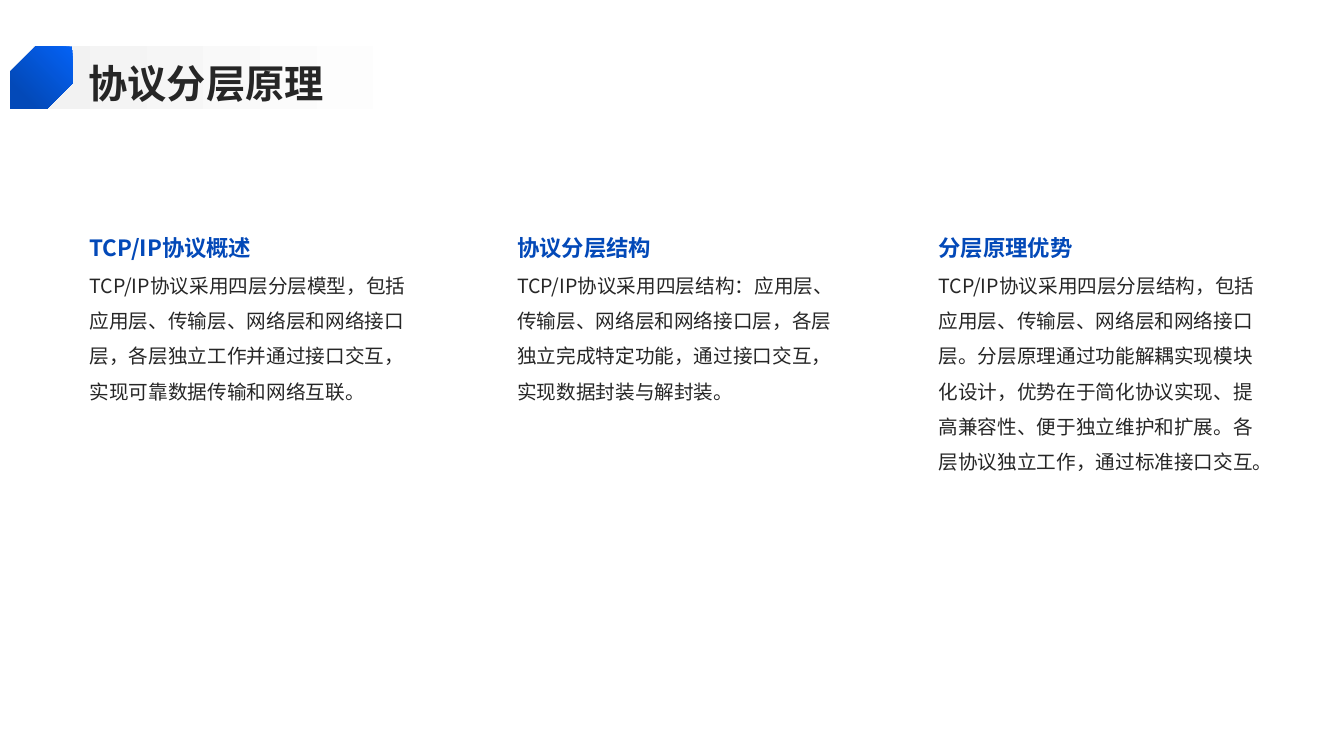
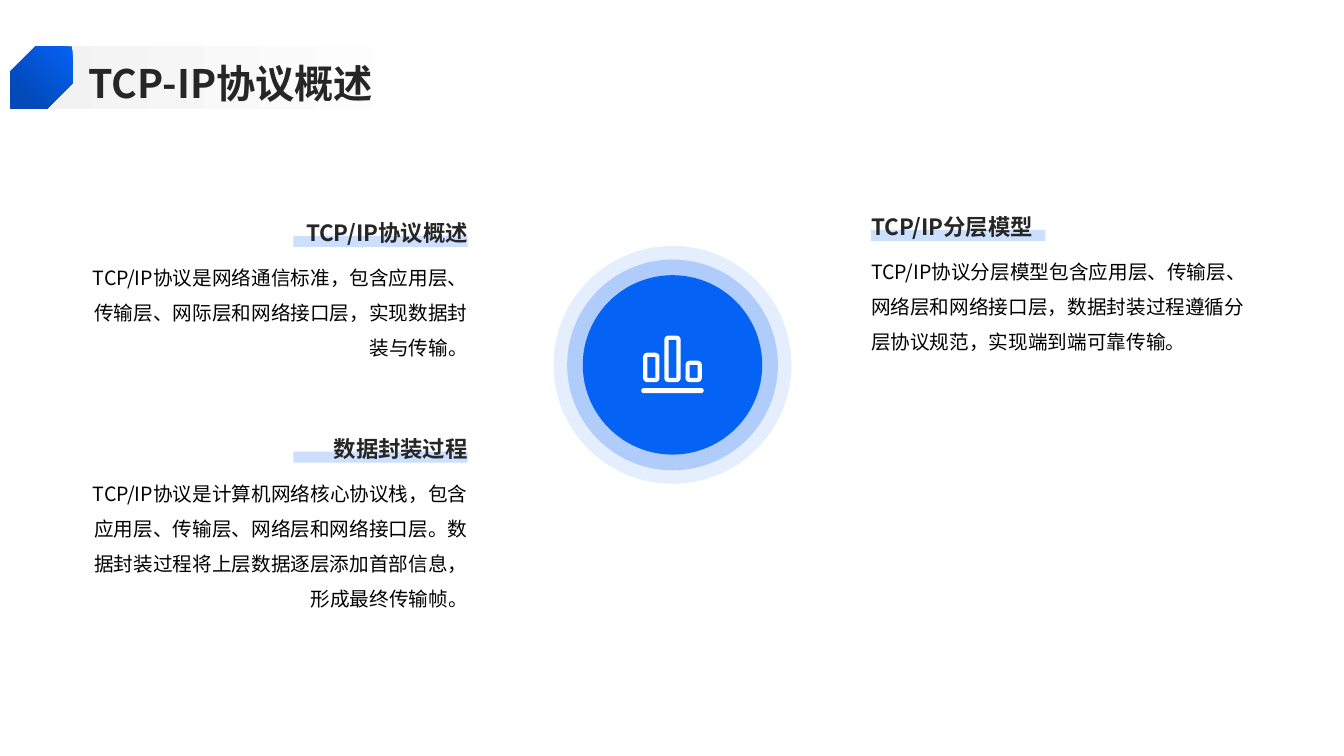
"""Builds two slides on the layers of the TCP/IP protocol."""
from lxml import etree
from pptx import Presentation
from pptx import util as u
from pptx.dml.color import RGBColor
from pptx.enum import shapes, text
from pptx.oxml.ns import qn

FONT = "Noto Sans CJK SC"
BLUE = RGBColor(0x04, 0x62, 0xF5)
DEEP_BLUE = RGBColor(0x03, 0x49, 0xB8)
PALE_BLUE = RGBColor(0xCC, 0xDF, 0xFE)
INK = RGBColor(0x26, 0x26, 0x26)
BLACK = RGBColor(0, 0, 0)
GREY = RGBColor(0xF2, 0xF2, 0xF2)
WHITE = RGBColor(0xFF, 0xFF, 0xFF)
LEFT, RIGHT = text.PP_ALIGN.LEFT, text.PP_ALIGN.RIGHT
TOP, MIDDLE, BOTTOM = text.MSO_ANCHOR.TOP, text.MSO_ANCHOR.MIDDLE, text.MSO_ANCHOR.BOTTOM
RECTANGLE = shapes.MSO_SHAPE.RECTANGLE
ROUNDED = shapes.MSO_SHAPE.ROUNDED_RECTANGLE


def write(box, words, size, color, bold=False, spacing=1.5, align=LEFT, anchor=TOP):
    frame = box.text_frame
    frame.word_wrap = True
    frame.auto_size = text.MSO_AUTO_SIZE.NONE
    frame.vertical_anchor = anchor
    frame.margin_left = frame.margin_right = frame.margin_top = frame.margin_bottom = 0
    para = frame.paragraphs[0]
    para.alignment = align
    para.line_spacing = spacing
    span = para.add_run()
    span.text = words
    span.font.name = FONT
    span.font.size = u.Pt(size)
    span.font.bold = bold
    span.font.color.rgb = color
    etree.SubElement(span.font._element, qn("a:ea")).set("typeface", FONT)


def draw(page, kind, place, *colors):
    shape = page.shapes.add_shape(kind, *map(u.Inches, place))
    shape.shadow.inherit = False
    shape.line.fill.background()
    if len(colors) == 2:
        shape.fill.gradient()
        for stop, color, position in zip(shape.fill.gradient_stops, colors, (0, 0.8)):
            stop.color.rgb = color
            stop.position = position
    else:
        shape.fill.solid()
        shape.fill.fore_color.rgb = colors[0]
    return shape


deck = Presentation()
deck.slide_width, deck.slide_height = u.Inches(13.33), u.Inches(7.5)
layout = deck.slide_layouts[5]
heading = layout.placeholders[0]
heading.left, heading.top, heading.width, heading.height = map(u.Inches, (0.88, 0.54, 11.88, 0.51))

pages = []
for title in ("协议分层原理", "TCP-IP协议概述"):
    page = deck.slides.add_slide(layout)
    write(page.shapes.title, title, 28, INK, True, 1.1, anchor=MIDDLE)
    band = draw(page, RECTANGLE, (0.33, 0.46, 4.92, 0.62), GREY, WHITE)
    band.fill.gradient_angle = 0
    badge = draw(page, shapes.MSO_SHAPE.SNIP_2_DIAG_RECTANGLE, (0.1, 0.46, 0.62, 0.62), BLUE, DEEP_BLUE)
    badge.fill.gradient_angle = 315
    badge.adjustments[0], badge.adjustments[1] = 0, 0.408
    badge._element.spPr.xfrm.set("flipH", "1")
    page.shapes.title._element.addprevious(band._element)
    pages.append(page)
principle, overview = pages

columns = (
    (0.89, "TCP/IP协议概述",
     "TCP/IP协议采用四层分层模型，包括应用层、传输层、网络层和网络接口层，各层独立工作并通过接口交互，实现可靠数据传输和网络互联。"),
    (5.13, "协议分层结构",
     "TCP/IP协议采用四层结构：应用层、传输层、网络层和网络接口层，各层独立完成特定功能，通过接口交互，实现数据封装与解封装。"),
    (9.31, "分层原理优势",
     "TCP/IP协议采用四层分层结构，包括应用层、传输层、网络层和网络接口层。分层原理通过功能解耦实现模块化设计，优势在于简化协议实现、提高兼容性、便于独立维护和扩展。各层协议独立工作，通过标准接口交互。"),
)
for left, name, words in columns:
    box = principle.shapes.add_textbox(*map(u.Inches, (left, 2.25, 3.26, 0.39)))
    write(box, name, 16, DEEP_BLUE, True, 1.1, anchor=MIDDLE)
    box = principle.shapes.add_textbox(*map(u.Inches, (left, 2.6, 3.26, 3.75)))
    write(box, words, 14, INK)

topics = (
    (0.9, 1.97, RIGHT, "TCP/IP协议概述",
     "TCP/IP协议是网络通信标准，包含应用层、传输层、网际层和网络接口层，实现数据封装与传输。"),
    (0.9, 4.11, RIGHT, "数据封装过程",
     "TCP/IP协议是计算机网络核心协议栈，包含应用层、传输层、网络层和网络接口层。数据封装过程将上层数据逐层添加首部信息，形成最终传输帧。"),
    (8.64, 1.91, LEFT, "TCP/IP分层模型",
     "TCP/IP协议分层模型包含应用层、传输层、网络层和网络接口层，数据封装过程遵循分层协议规范，实现端到端可靠传输。"),
)
text_width, mark_width = 3.74, 1.73
for left, top, align, name, words in topics:
    mark_left = left + text_width - mark_width if align == RIGHT else left
    draw(overview, RECTANGLE, (mark_left, top + 0.37, mark_width, 0.11), PALE_BLUE)
    box = overview.shapes.add_textbox(*map(u.Inches, (left, top, text_width, 0.47)))
    write(box, name, 16, INK, True, align=align, anchor=BOTTOM)
    box = overview.shapes.add_textbox(*map(u.Inches, (left, top + 0.55, text_width, 1.51)))
    write(box, words, 14, BLACK, align=align)

center_x, center_y = 6.67, 3.62
for size, opacity in ((2.36, 10), (2.09, 24), (1.78, 100)):
    place = (center_x - size / 2, center_y - size / 2, size, size)
    disc = draw(overview, shapes.MSO_SHAPE.OVAL, place, BLUE)
    if opacity < 100:
        color = disc._element.spPr.find(".//" + qn("a:srgbClr"))
        etree.SubElement(color, qn("a:alpha")).set("val", str(opacity * 1000))

bar_bottom = 3.77
for column, top in enumerate((3.52, 3.35, 3.6)):
    bar = draw(overview, ROUNDED, (6.4 + column * 0.21, top, 0.12, bar_bottom - top), WHITE)
    bar.adjustments[0] = 0.17
    bar.fill.background()
    bar.line.color.rgb = WHITE
    bar.line.width = u.Pt(3)
base = draw(overview, ROUNDED, (6.36, 3.85, 0.62, 0.05), WHITE)
base.adjustments[0] = 0.5

deck.save("out.pptx")
